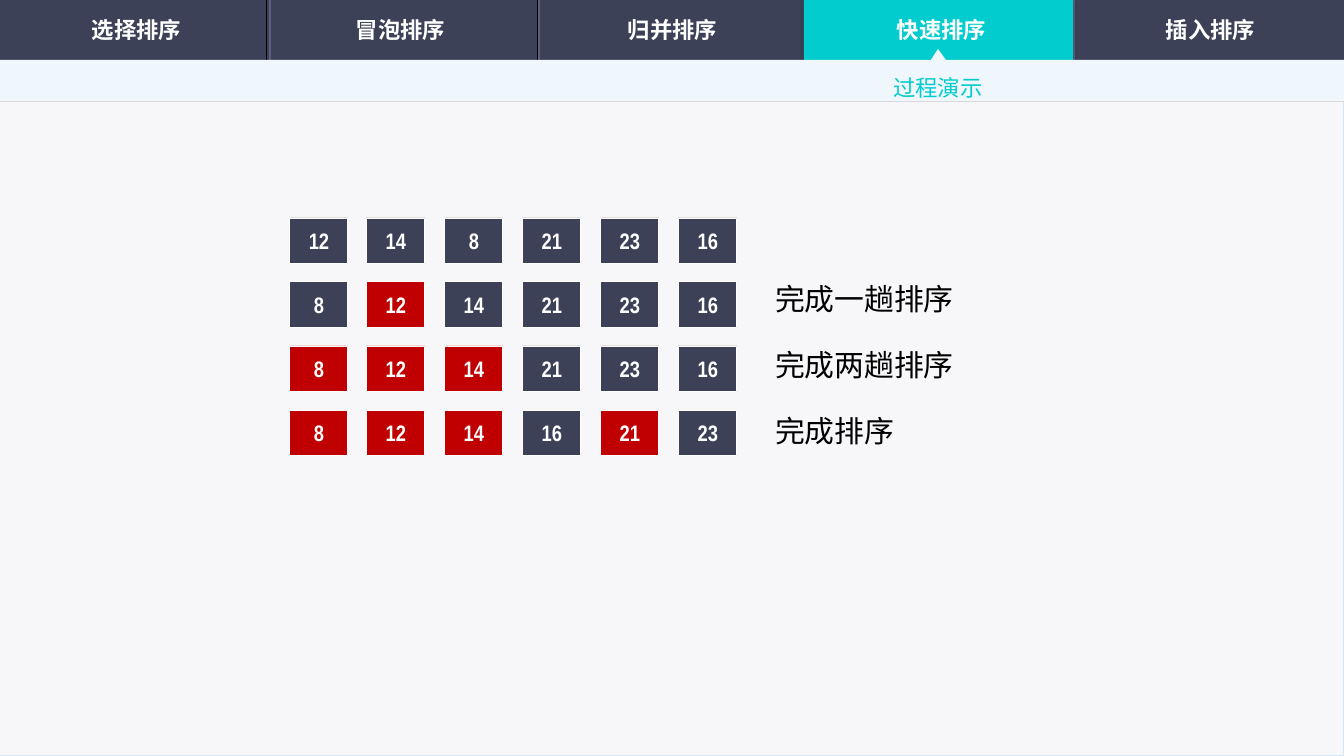
from lxml.etree import SubElement
from pptx import Presentation
from pptx.dml.color import RGBColor
from pptx.enum.shapes import MSO_CONNECTOR, MSO_SHAPE as Preset
from pptx.enum.text import MSO_ANCHOR as Anchor, MSO_AUTO_SIZE as AutoSize, PP_ALIGN as Align
from pptx.oxml.ns import qn
from pptx.util import Emu, Pt

PX = 9144000 / 1344
WIDTH, HEIGHT = 1344, 756
NAVY = RGBColor(0x3C, 0x41, 0x57)
SLATE = RGBColor(0x3B, 0x44, 0x5B)
TEAL = RGBColor(0x03, 0xCC, 0xCE)
RED = RGBColor(0xC0, 0x00, 0x00)
WHITE = RGBColor(0xFF, 0xFF, 0xFF)
BLACK = RGBColor(0x00, 0x00, 0x00)
PAPER = RGBColor(0xF7, 0xF7, 0xF9)
PAPER_EDGE = RGBColor(0xD4, 0xE7, 0xF9)
RIBBON = RGBColor(0xEF, 0xF6, 0xFC)
RULE = RGBColor(0xD9, 0xD9, 0xD9)
GROOVE = RGBColor(0x59, 0x61, 0x81)
CJK = "Noto Sans CJK SC"

TABS = [("选择排序", 3), ("冒泡排序", 267), ("归并排序", 539), ("快速排序", 808), ("插入排序", 1077)]
DIVIDERS = [(267, 270), (538, 539), (805, 806), (1073, 1074)]
PASSES = [
    ([12, 14, 8, 21, 23, 16], []),
    ([8, 12, 14, 21, 23, 16], [12]),
    ([8, 12, 14, 21, 23, 16], [8, 12, 14]),
    ([8, 12, 14, 16, 21, 23], [8, 12, 14, 21]),
]
CAPTIONS = ["完成一趟排序", "完成两趟排序", "完成排序"]


def px(*lengths):
    """Turn pixel lengths into EMU."""
    return [Emu(round(length * PX)) for length in lengths]


def paint(shape, fill=None, line=None, weight=0.5):
    """Set the fill and outline of a shape and drop its shadow."""
    shape.shadow.inherit = False
    if fill is None:
        shape.fill.background()
    else:
        shape.fill.solid()
        shape.fill.fore_color.rgb = fill
    if line is None:
        shape.line.fill.background()
    else:
        shape.line.color.rgb = line
        shape.line.width = Pt(weight)
    return shape


def add_box(slide, box, preset=Preset.RECTANGLE, **style):
    """Add a painted preset shape."""
    return paint(slide.shapes.add_shape(preset, *px(*box)), **style)


def add_rule(slide, start, end, color, weight=0.5):
    """Add a straight line without a shadow."""
    rule = slide.shapes.add_connector(MSO_CONNECTOR.STRAIGHT, *px(*start, *end))
    rule.line.color.rgb = color
    rule.line.width = Pt(weight)
    SubElement(rule._element.spPr, qn("a:effectLst"))


def write(shape, text, size=12, font=CJK, color=WHITE, bold=False, align=Align.CENTER,
          anchor=Anchor.MIDDLE, wrap=True, grow=False, spacing=None):
    """Put one formatted paragraph into a shape."""
    frame = shape.text_frame
    frame.word_wrap = wrap
    frame.auto_size = AutoSize.SHAPE_TO_FIT_TEXT if grow else AutoSize.NONE
    frame.vertical_anchor = anchor
    paragraph = frame.paragraphs[0]
    paragraph.alignment = align
    if spacing:
        paragraph.line_spacing = spacing
    run = paragraph.add_run()
    run.text = text
    run.font.size = Pt(size)
    run.font.bold = bold
    run.font.color.rgb = color
    run.font.name = font
    SubElement(run._r.get_or_add_rPr(), qn("a:ea"), typeface=CJK)


def add_glow(shape):
    """Give a shape a soft dark shadow."""
    effects = shape._element.spPr.find(qn("a:effectLst"))
    shadow = SubElement(effects, qn("a:outerShdw"), blurRad=str(Pt(3)), dist="0",
                        dir="16200000", algn="ctr", rotWithShape="0")
    tint = SubElement(shadow, qn("a:srgbClr"), val=str(BLACK))
    SubElement(tint, qn("a:alpha"), val="20000")


def draw_backdrop(slide, left, top, width, height):
    """Draw the gradient background and the page panel."""
    gradient = slide.background.fill
    gradient.gradient()
    gradient.gradient_angle = 315
    for stop, color in zip(gradient.gradient_stops, (TEAL, SLATE)):
        stop.color.rgb = color
    add_box(slide, (left, top, width, height), fill=PAPER, line=PAPER_EDGE)


def draw_tabs(slide, left, top, width, height):
    """Draw the navigation bar with its active tab and titles."""
    add_box(slide, (left, top, width, height), fill=NAVY)
    bottom = top + height
    for dark, light in DIVIDERS:
        add_rule(slide, (left + dark, top), (left + dark, bottom), BLACK)
        add_rule(slide, (left + light, top), (left + light, bottom), GROOVE, 0.75)
    add_glow(add_box(slide, (left + 804, top, 269, height), fill=TEAL))
    for title, offset in TABS:
        tab = add_box(slide, (left + offset, top + 9, 267, 42), Preset.ROUNDED_RECTANGLE)
        tab.adjustments[0] = 0
        write(tab, title, bold=True)


def draw_ribbon(slide, left, top, width, height):
    """Draw the subtitle strip with its pointer."""
    right, bottom = left + width, top + height
    outline = [(left + 946, top), (right, top), (right, bottom), (left, bottom),
               (left, top), (left + 931, top)]
    builder = slide.shapes.build_freeform(left + 938, top - 11, scale=PX)
    builder.add_line_segments(outline, close=True)
    paint(builder.convert_to_shape(), fill=RIBBON)
    add_rule(slide, (left, bottom), (right, bottom), RULE)
    subtitle = slide.shapes.add_textbox(*px(left + 880, top - 6, 117, 54))
    write(subtitle, "过程演示", color=TEAL, align=Align.LEFT, wrap=False, grow=True, spacing=1.5)


def draw_passes(slide, left, top, width, height):
    """Draw the number grid, one row for each sorting pass."""
    cell_width, cell_height = 58, 46
    for row, (numbers, settled) in enumerate(PASSES):
        y = top + (height - cell_height) * row // (len(PASSES) - 1)
        for column, number in enumerate(numbers):
            x = left + (width - cell_width) * column // (len(numbers) - 1)
            cell = add_box(slide, (x, y, cell_width, cell_height),
                           fill=RED if number in settled else NAVY, line=WHITE)
            write(cell, str(number), font="Arial Narrow", bold=True)


def draw_captions(slide, left, top, width, height):
    """Write the caption of each finished pass."""
    for row, words in enumerate(CAPTIONS):
        y = top + (height - 50) * row // (len(CAPTIONS) - 1)
        caption = slide.shapes.add_textbox(*px(left, y, width, 50))
        write(caption, words, size=16, font="Calibri", color=BLACK,
              align=Align.LEFT, anchor=Anchor.TOP, grow=True)


def main():
    """Build and save the slide."""
    deck = Presentation()
    deck.slide_width, deck.slide_height = px(WIDTH, HEIGHT)
    slide = deck.slides.add_slide(deck.slide_layouts[6])
    draw_backdrop(slide, 0, 60, WIDTH, HEIGHT - 60)
    draw_tabs(slide, 0, 0, WIDTH, 60)
    draw_ribbon(slide, 0, 60, WIDTH, 42)
    draw_passes(slide, 290, 218, 447, 238)
    draw_captions(slide, 762, 274, 439, 182)
    deck.save("out.pptx")


if __name__ == "__main__":
    main()
